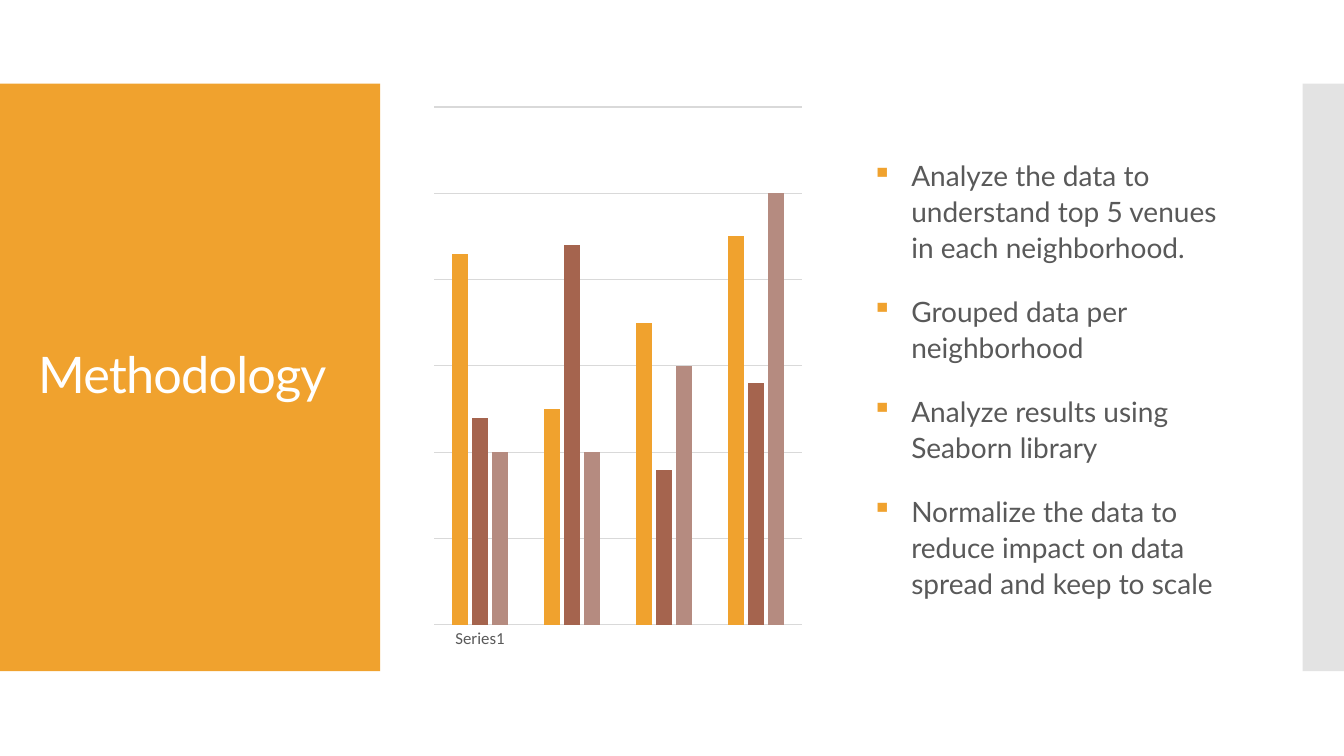
"""Build the Methodology slide: title panel, column chart and bullet list."""
from dataclasses import dataclass

from lxml.etree import SubElement
from pptx import Presentation
from pptx.chart.data import CategoryChartData as ChartData
from pptx.dml.color import RGBColor as RGB
from pptx.enum.chart import XL_CHART_TYPE as Kind, XL_TICK_MARK as Tick
from pptx.enum.shapes import MSO_SHAPE as Shape
from pptx.enum.text import MSO_ANCHOR as Anchor
from pptx.oxml.ns import qn
from pptx.util import Inches, Pt

TITLE = "Methodology"
POINTS = [
    "Analyze the data to understand top 5 venues in each neighborhood.",
    "Grouped data per neighborhood",
    "Analyze results using Seaborn library",
    "Normalize the data to reduce impact on data spread and keep to scale",
]
CATS = ["Series1", "", "", ""]
SERIES = {
    "Series 1": (86, 50, 70, 90),
    "Series 2": (48, 88, 36, 56),
    "Series 3": (40, 40, 60, 100),
}


@dataclass
class Theme:
    """Fonts, colours and type sizes."""
    font: str = "Lato"
    label: str = "Calibri"
    bars: tuple = ("F0A22E", "A5644E", "B58B80")
    band: str = "C8C8C8"
    grid: str = "D9D9D9"
    ink: str = "595959"
    white: str = "FFFFFF"
    title: int = 36
    body: int = 20
    tick: int = 12


T = Theme()
WIDE, HIGH = 13.33, 7.5
TOP, TALL = 0.83, 5.83
PANEL, EDGE = 3.77, 12.92
ROW, SIDE, DEEP = 0.95, 3.8, 5.6
CHART, LIST = 4.23, 8.55


def box(*dims):
    """Turn inch numbers into lengths."""
    return [Inches(n) for n in dims]


def style(font, face, size, color):
    """Set face, size and colour of a font."""
    font.name, font.size = face, Pt(size)
    font.color.rgb = RGB.from_string(color)


def rule(line):
    """Give a chart line the grid look."""
    line.color.rgb = RGB.from_string(T.grid)
    line.width = Pt(0.75)


def panel(slide, left, wide, color):
    """Add a plain band across the slide's middle."""
    rect = slide.shapes.add_shape(Shape.RECTANGLE, *box(left, TOP, wide, TALL))
    rect.shadow.inherit = False
    rect.fill.solid()
    rect.fill.fore_color.rgb = RGB.from_string(color)
    rect.line.fill.background()
    return rect


def text(slide, dims, lines, size, color, space):
    """Add a wrapped, vertically centred text box."""
    frame = slide.shapes.add_textbox(*box(*dims)).text_frame
    frame.word_wrap = True
    frame.vertical_anchor = Anchor.MIDDLE
    frame.text = "\n".join(lines)
    for para in frame.paragraphs:
        style(para.font, T.font, size, color)
        para.line_spacing = space
    return frame.paragraphs


def bullet(para):
    """Give a paragraph a hanging square bullet."""
    para.space_before, para.space_after = Pt(12), Pt(8)
    props = para._p.get_or_add_pPr()
    hang = Inches(0.39)
    props.set("marL", str(hang))
    props.set("indent", str(-hang))
    tint = SubElement(SubElement(props, qn("a:buClr")), qn("a:srgbClr"))
    tint.set("val", T.bars[0])
    SubElement(props, qn("a:buChar")).set("char", "▪")
    props.append(props.find(qn("a:defRPr")))


def graph(slide):
    """Add the clustered column chart."""
    data = ChartData()
    data.categories = CATS
    for name, vals in SERIES.items():
        data.add_series(name, vals)
    chart = slide.shapes.add_chart(
        Kind.COLUMN_CLUSTERED, *box(CHART, ROW, SIDE, DEEP), data).chart
    chart.has_legend = chart.has_title = False
    style(chart.font, T.label, T.tick, T.ink)
    plot = chart.plots[0]
    plot.gap_width, plot.overlap = 219, -27
    plot.vary_by_categories = False
    for ser, color in zip(plot.series, T.bars):
        ser.format.fill.solid()
        ser.format.fill.fore_color.rgb = RGB.from_string(color)
    cat, val = chart.category_axis, chart.value_axis
    cat.major_tick_mark = cat.minor_tick_mark = Tick.NONE
    rule(cat.format.line)
    val.visible = False
    val.minimum_scale, val.maximum_scale, val.major_unit = 0, 120, 20
    rule(val.major_gridlines.format.line)


deck = Presentation()
deck.slide_width, deck.slide_height = box(WIDE, HIGH)
slide = deck.slides.add_slide(deck.slide_layouts[6])

panel(slide, 0, PANEL, T.bars[0])
band = panel(slide, EDGE, WIDE - EDGE, T.band)
tint = band._element.spPr.find(qn("a:solidFill"))[0]
SubElement(tint, qn("a:alpha")).set("val", "50000")

head = text(slide, (0.28, 1.23, 3.22, 5.03), [TITLE], T.title, T.white, 0.9)
head[0].runs[0].font._element.set("spc", "-60")
graph(slide)
for para in text(slide, (LIST, ROW, SIDE, DEEP), POINTS, T.body, T.ink, 1.07):
    bullet(para)

deck.save("out.pptx")
